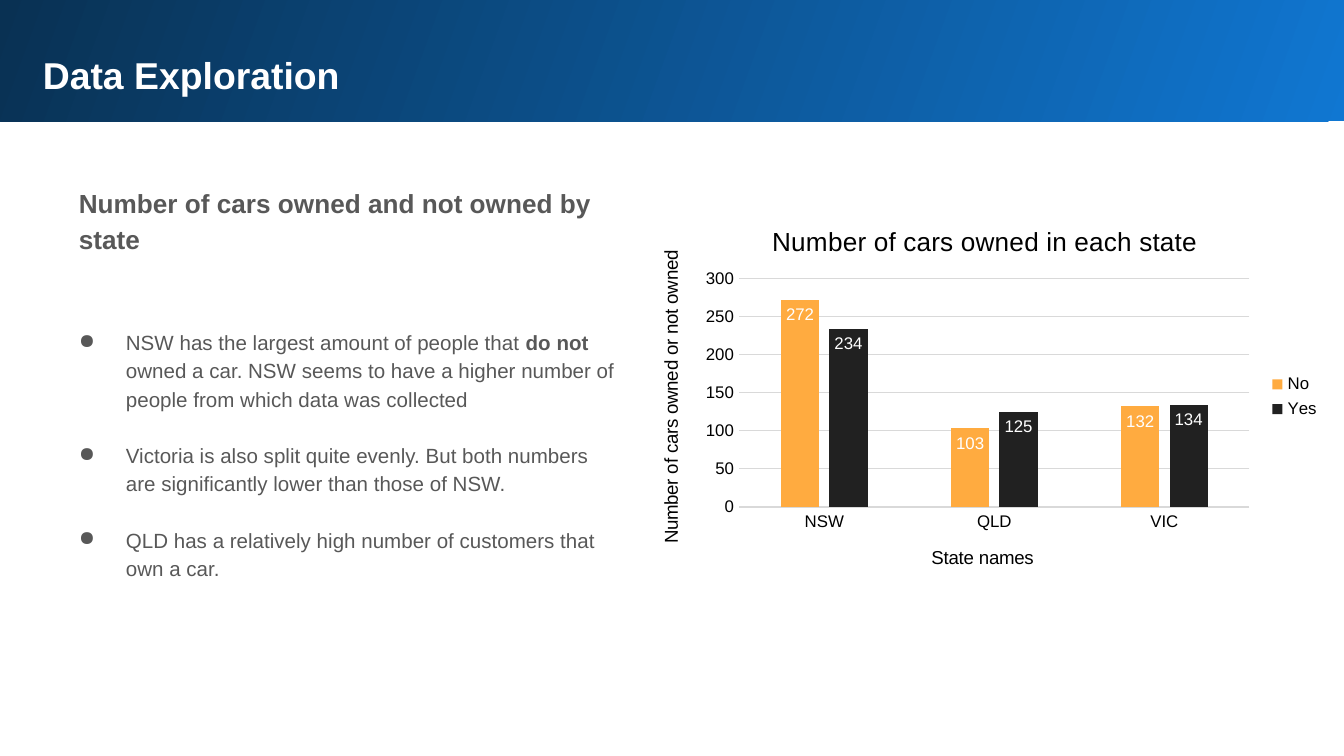
from dataclasses import dataclass

from lxml.etree import SubElement
from pptx import Presentation
from pptx.chart.data import CategoryChartData as ChartData
from pptx.dml.color import RGBColor as Rgb
from pptx.enum.chart import XL_CHART_TYPE as Kind
from pptx.enum.chart import XL_LABEL_POSITION as LabelPos
from pptx.enum.chart import XL_LEGEND_POSITION as LegendPos
from pptx.enum.chart import XL_TICK_MARK as Tick
from pptx.enum.shapes import MSO_SHAPE as Shape
from pptx.oxml import parse_xml
from pptx.oxml.ns import nsdecls, qn
from pptx.util import Cm, Pt

FONT = "Arial"
COLORS = {
    "light": "1077D2", "dark": "093153", "white": "FFFFFF", "text": "585858",
    "black": "000000", "grid": "D9D9D9", "no": "FFAB40", "yes": "212121",
}


@dataclass
class Box:
    """A place on the slide, in centimetres."""
    left: float
    top: float
    width: float
    height: float

    def cm(self) -> tuple:
        """Return the four lengths."""
        return Cm(self.left), Cm(self.top), Cm(self.width), Cm(self.height)


@dataclass
class Para:
    """A paragraph of (text, bold) runs."""
    runs: list
    size: float = 11
    before: float = 15
    bullet: bool = True


@dataclass
class Series:
    """One set of columns."""
    name: str
    values: tuple
    color: str


PARAS = [
    Para([("Number of cars owned and not owned by state", True)], 14, 0, False),
    Para([("NSW has the largest amount of people that ", False),
          ("do not ", True),
          ("owned a car. NSW seems to have a higher number of people "
           "from which data was collected", False)], before=38.5),
    Para([("Victoria is also split quite evenly. But both numbers are "
           "significantly lower than those of NSW.", False)]),
    Para([("QLD has a relatively high number of customers that own a car.",
           False)]),
]
STATES = ("NSW", "QLD", "VIC")
SERIES = [
    Series("No", (272, 103, 132), "no"),
    Series("Yes", (234, 125, 134), "yes"),
]


def rgb(name: str) -> Rgb:
    """Look up a colour."""
    return Rgb.from_string(COLORS[name])


def style(font, size: float, color: str, bold: bool | None = False) -> None:
    """Set face, size, colour and weight."""
    font.name, font.size, font.bold = FONT, Pt(size), bold
    font.color.rgb = rgb(color)


def add_band(slide, box: Box) -> None:
    """Draw the gradient band at the top."""
    band = slide.shapes.add_shape(Shape.RECTANGLE, *box.cm())
    band.shadow.inherit = False
    band.line.fill.background()
    band.fill.gradient()
    band.fill.gradient_angle = 160
    for stop, name in zip(band.fill.gradient_stops, ("light", "dark")):
        stop.color.rgb = rgb(name)


def add_frame(slide, box: Box):
    """Add a wrapping text box with even insets."""
    frame = slide.shapes.add_textbox(*box.cm()).text_frame
    frame.word_wrap = True
    frame.margin_left = frame.margin_right = Cm(0.25)
    frame.margin_top = frame.margin_bottom = Cm(0.25)
    return frame


def add_title(slide, box: Box, text: str) -> None:
    """Write the slide title."""
    para = add_frame(slide, box).paragraphs[0]
    para.text = text
    style(para.font, 20, "white", True)


def add_body(slide, box: Box, paras: list) -> None:
    """Write the heading and the bullets."""
    frame = add_frame(slide, box)
    for i, item in enumerate(paras):
        para = frame.add_paragraph() if i else frame.paragraphs[0]
        para.line_spacing, para.space_before = 1.15, Pt(item.before)
        bolds = {bold for _, bold in item.runs}
        style(para.font, item.size, "text", bolds == {True})
        for text, bold in item.runs:
            run = para.add_run()
            run.text = text
            if len(bolds) > 1:
                run.font.bold = bold
        props = para._p.get_or_add_pPr()
        props.set("marL", str(Cm(1.27 if item.bullet else 0.38)))
        props.set("indent", str(Cm(-0.89 if item.bullet else 0)))
        if item.bullet:
            mark = parse_xml(f'<a:buChar {nsdecls("a")} char="●"/>')
            props.insert_element_before(mark, "a:tabLst", "a:defRPr", "a:extLst")


def place(part, index: int, **spots: float) -> None:
    """Give a chart part a manual layout, as shares of the chart."""
    for old in part.findall(qn("c:layout")):
        part.remove(old)
    layout = parse_xml(f'<c:layout {nsdecls("c")}/>')
    part.insert(index, layout)
    manual = SubElement(layout, qn("c:manualLayout"))
    if "w" in spots:
        SubElement(manual, qn("c:layoutTarget")).set("val", "inner")
    for key in ("x", "y"):
        SubElement(manual, qn(f"c:{key}Mode")).set("val", "edge")
    for key, val in spots.items():
        SubElement(manual, qn(f"c:{key}")).set("val", str(val))


def add_head(title, text: str, size: float, x: float, y: float) -> None:
    """Write and place a chart or axis title."""
    para = title.text_frame.paragraphs[0]
    para.text = text
    style(para.font, size, "black")
    place(title._element, 1, x=x, y=y)


def add_cars(slide, box: Box) -> None:
    """Draw the column chart."""
    data = ChartData()
    data.categories = STATES
    for item in SERIES:
        data.add_series(item.name, item.values)
    chart = slide.shapes.add_chart(Kind.COLUMN_CLUSTERED, *box.cm(), data).chart
    style(chart.font, 10, "black")
    chart.has_title = chart.has_legend = True
    add_head(chart.chart_title, "Number of cars owned in each state",
             14, 0.19, 0.05)
    chart.legend.position = LegendPos.RIGHT
    chart.legend.include_in_layout = False
    style(chart.legend.font, 9, "black")

    base, side = chart.category_axis, chart.value_axis
    for axis in (base, side):
        axis.major_tick_mark = axis.minor_tick_mark = Tick.NONE
        style(axis.tick_labels.font, 9, "black")
    add_head(base.axis_title, "State names", 10, 0.42, 0.87)
    add_head(side.axis_title, "Number of cars owned or not owned",
             10, 0.03, 0.12)
    side.minimum_scale, side.maximum_scale, side.major_unit = 0, 300, 50
    side.format.line.fill.background()
    for line in (base.format.line, side.major_gridlines.format.line):
        line.color.rgb, line.width = rgb("grid"), Pt(0.75)

    plot = chart.plots[0]
    plot.gap_width, plot.overlap, plot.vary_by_categories = 219, -27, False
    for cols, item in zip(plot.series, SERIES):
        cols.format.fill.solid()
        cols.format.fill.fore_color.rgb = rgb(item.color)
        labels = cols.data_labels
        labels.show_value, labels.position = True, LabelPos.INSIDE_END
        style(labels.font, 9, "white")
    area = chart._chartSpace.chart.plotArea
    place(area, 0, x=0.15, y=0.2, w=0.73, h=0.58)


def main() -> None:
    """Build and save the slide."""
    deck = Presentation()
    deck.slide_width, deck.slide_height = Cm(25.4), Cm(14.29)
    slide = deck.slides.add_slide(deck.slide_layouts[6])
    add_band(slide, Box(0, -0.05, 25.53, 2.34))
    add_title(slide, Box(0.56, 0.74, 23.8, 1.3), "Data Exploration")
    add_body(slide, Box(0.86, 3.2, 11.1, 9.5), PARAS)
    add_cars(slide, Box(11.99, 3.78, 13.21, 7.44))
    deck.save("out.pptx")


main()
